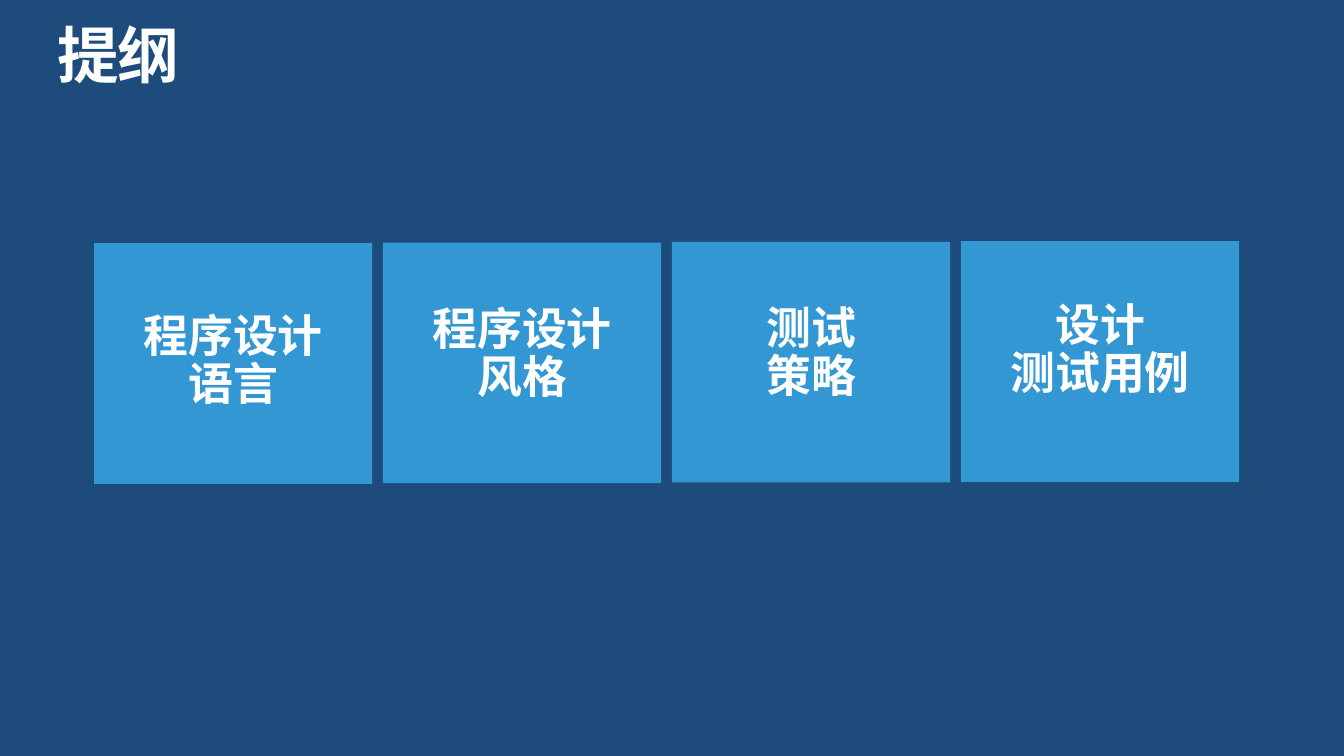
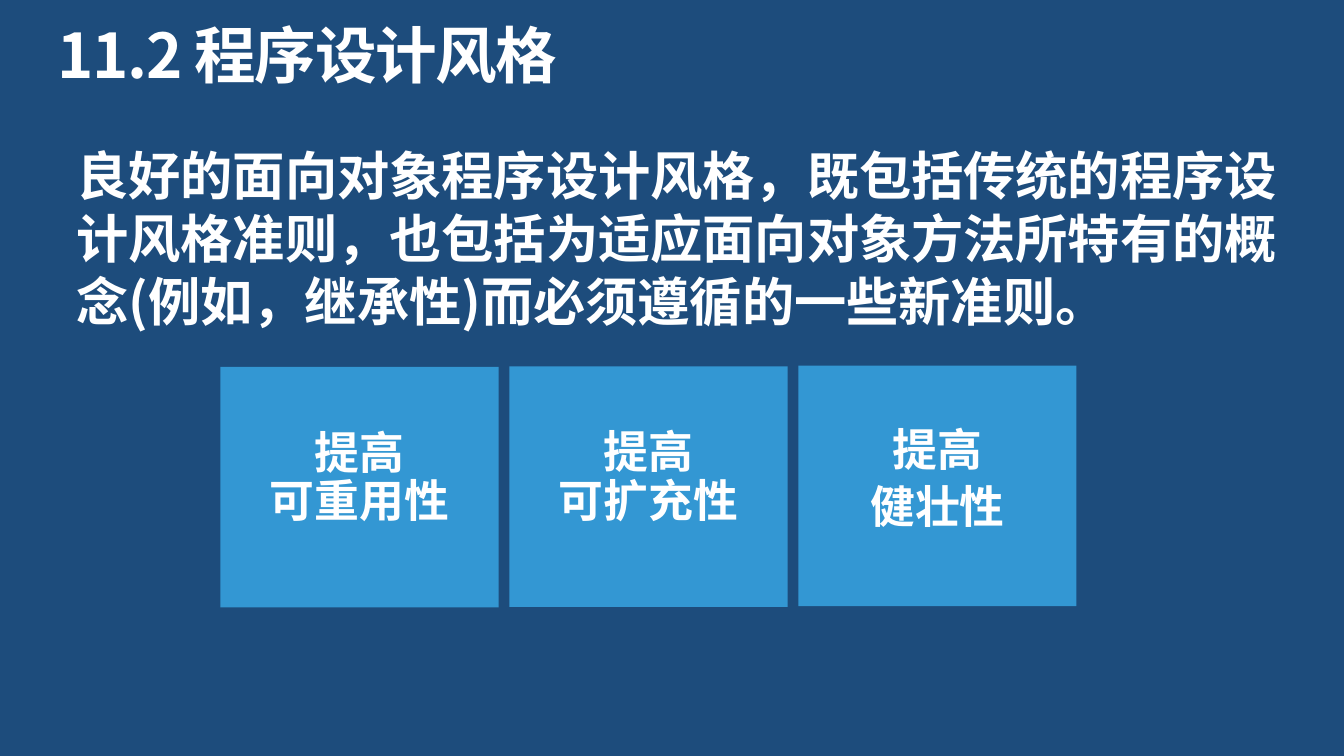
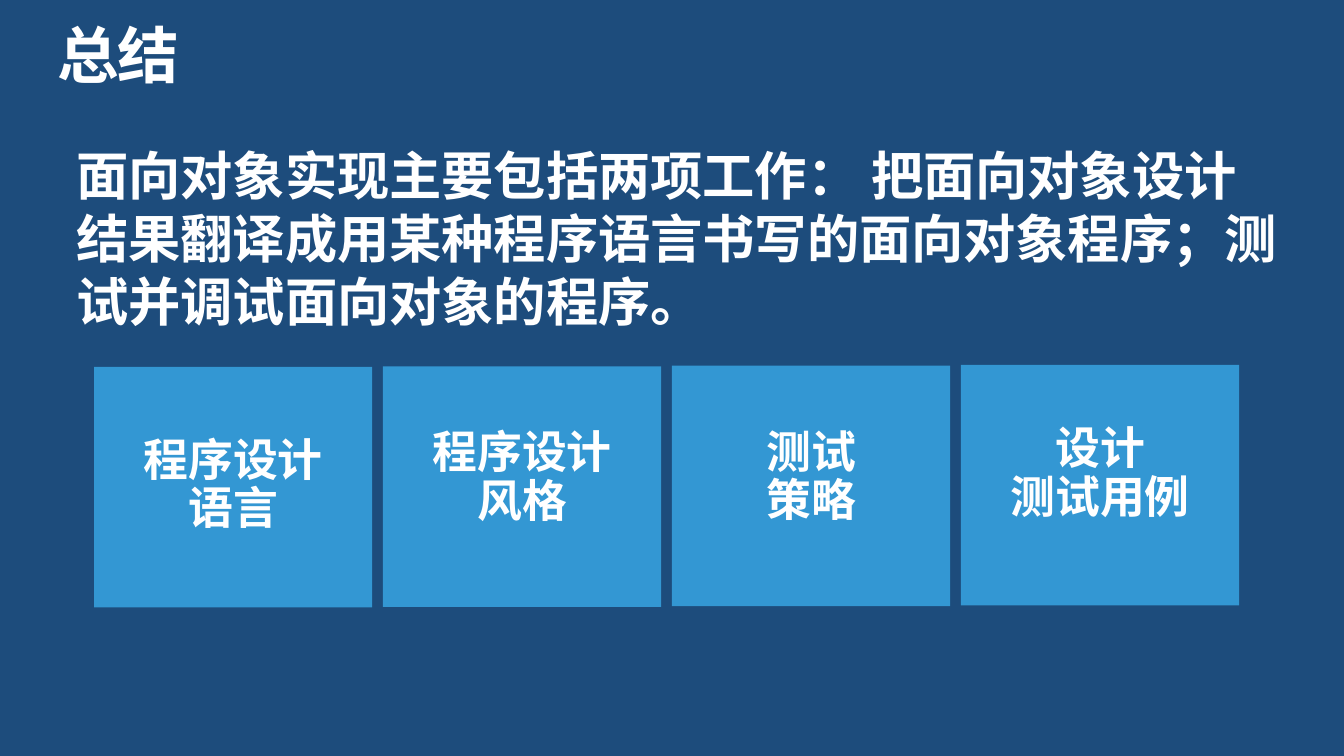
from dataclasses import dataclass

from lxml import etree
from pptx import Presentation
from pptx.dml.color import RGBColor
from pptx.enum.shapes import MSO_SHAPE
from pptx.enum.text import MSO_ANCHOR, MSO_AUTO_SIZE, PP_ALIGN
from pptx.oxml.ns import qn
from pptx.util import Inches, Length, Pt

RECTANGLE = MSO_SHAPE.RECTANGLE
MIDDLE = MSO_ANCHOR.MIDDLE
GROW = MSO_AUTO_SIZE.SHAPE_TO_FIT_TEXT
CENTER = PP_ALIGN.CENTER
BLANK_LAYOUT = 6


@dataclass(frozen=True)
class Theme:
    background: RGBColor = RGBColor(0x1D, 0x4C, 0x7C)
    tile: RGBColor = RGBColor(0x33, 0x97, 0xD3)
    text: RGBColor = RGBColor(0xFF, 0xFF, 0xFF)
    font: str = "Noto Sans CJK SC"
    title_size: Length = Pt(33)
    body_size: Length = Pt(28)
    tile_size: Length = Pt(24)
    tight_lines: float = 0.9
    paragraph_gap: Length = Pt(4.8)
    title_tracking: str = "-80"


THEME = Theme()

PAGE_WIDTH = Inches(10)
PAGE_HEIGHT = PAGE_WIDTH * 9 // 16
TILE_WIDTH, TILE_HEIGHT = Inches(2.07), Inches(1.79)
TILE_STEP = Inches(2.15)
TILE_RISE = Inches(0.01) // 2
LABEL_INSET, LABEL_WIDTH = Inches(0.16), Inches(1.75)
LABEL_LINE_HEIGHT = Inches(0.73)
LABEL_PARAGRAPH_HEIGHT = Inches(0.81)


@dataclass(frozen=True)
class Tile:
    """A labelled square: paragraphs of lines, set a drop below its top edge."""
    paragraphs: tuple[tuple[str, ...], ...]
    drop: Length = Inches(0.47)


@dataclass(frozen=True)
class Page:
    title: str
    tiles: tuple[Tile, ...]
    left: Length
    top: Length
    body: str = ""


TOPICS = (
    Tile((("程序设计", "语言"),), Inches(0.52)),
    Tile((("程序设计", "风格"),)),
    Tile((("测试", "策略"),)),
    Tile((("设计", "测试用例"),), Inches(0.45)),
)
GOALS = (
    Tile((("提高", "可重用性"),)),
    Tile((("提高", "可扩充性"),)),
    Tile((("提高",), ("健壮性",)), Inches(0.45)),
)
PAGES = (
    Page("提纲", TOPICS, Inches(0.7), Inches(1.81)),
    Page(
        "11.2 程序设计风格", GOALS, Inches(1.64), Inches(2.73),
        "良好的面向对象程序设计风格，既包括传统的程序设计风格准则，"
        "也包括为适应面向对象方法所特有的概念(例如，继承性)而必须遵循的一些新准则。",
    ),
    Page(
        "总结", TOPICS, Inches(0.7), Inches(2.73),
        "面向对象实现主要包括两项工作： 把面向对象设计结果翻译成用某种程序语言"
        "书写的面向对象程序；测试并调试面向对象的程序。",
    ),
)


def add_span(para, text: str, size: Length):
    span = para.add_run()
    span.text = text
    span.font.size = size
    span.font.bold = True
    span.font.color.rgb = THEME.text
    span.font.name = THEME.font
    east_asian = etree.SubElement(span.font._element, qn("a:ea"))
    east_asian.set("typeface", THEME.font)
    return span


def add_text_frame(shapes, left: int, top: int, width: int, height: int, inset: bool = False):
    frame = shapes.add_textbox(left, top, width, height).text_frame
    frame.word_wrap = True
    frame.auto_size = GROW
    if not inset:
        frame.margin_left = frame.margin_right = 0
        frame.margin_top = frame.margin_bottom = 0
    return frame


def add_title(page, text: str) -> None:
    frame = add_text_frame(page.shapes, Inches(0.43), Inches(0.19), Inches(9.15), Inches(0.5))
    para = frame.paragraphs[0]
    para.line_spacing = THEME.tight_lines
    span = add_span(para, text, THEME.title_size)
    span.font._element.set("spc", THEME.title_tracking)


def add_body(page, text: str) -> None:
    frame = add_text_frame(
        page.shapes, Inches(0.47), Inches(1.02), Inches(9.14), Inches(1.51), inset=True)
    add_span(frame.paragraphs[0], text, THEME.body_size)


def add_tile(page, tile: Tile, left: int, top: int) -> None:
    group = page.shapes.add_group_shape()
    square = group.shapes.add_shape(RECTANGLE, left, top, TILE_WIDTH, TILE_HEIGHT)
    square.shadow.inherit = False
    square.fill.solid()
    square.fill.fore_color.rgb = THEME.tile
    square.line.fill.background()

    height = LABEL_LINE_HEIGHT if len(tile.paragraphs) == 1 else LABEL_PARAGRAPH_HEIGHT
    frame = add_text_frame(
        group.shapes, left + LABEL_INSET, top + tile.drop, LABEL_WIDTH, height)
    frame.vertical_anchor = MIDDLE
    for number, lines in enumerate(tile.paragraphs):
        para = frame.add_paragraph() if number else frame.paragraphs[0]
        para.alignment = CENTER
        para.line_spacing = THEME.tight_lines
        if number:
            para.space_before = THEME.paragraph_gap
        for position, line in enumerate(lines):
            if position:
                para.add_line_break()
            add_span(para, line, THEME.tile_size)


def add_page(deck, content: Page) -> None:
    page = deck.slides.add_slide(deck.slide_layouts[BLANK_LAYOUT])
    page.background.fill.solid()
    page.background.fill.fore_color.rgb = THEME.background
    add_title(page, content.title)
    if content.body:
        add_body(page, content.body)
    for column, tile in enumerate(content.tiles):
        add_tile(page, tile, content.left + column * TILE_STEP, content.top - column * TILE_RISE)


def main() -> None:
    deck = Presentation()
    deck.slide_width, deck.slide_height = PAGE_WIDTH, PAGE_HEIGHT
    for content in PAGES:
        add_page(deck, content)
    deck.save("out.pptx")


if __name__ == "__main__":
    main()
